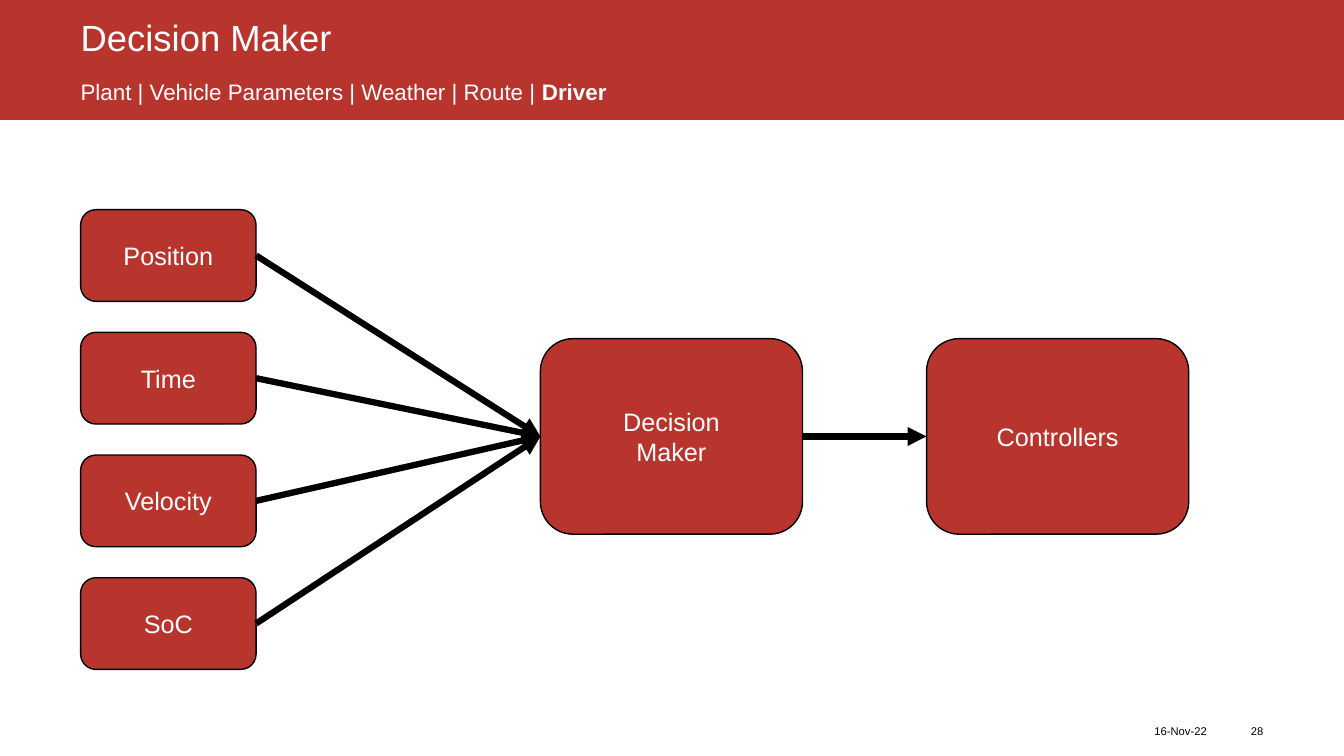
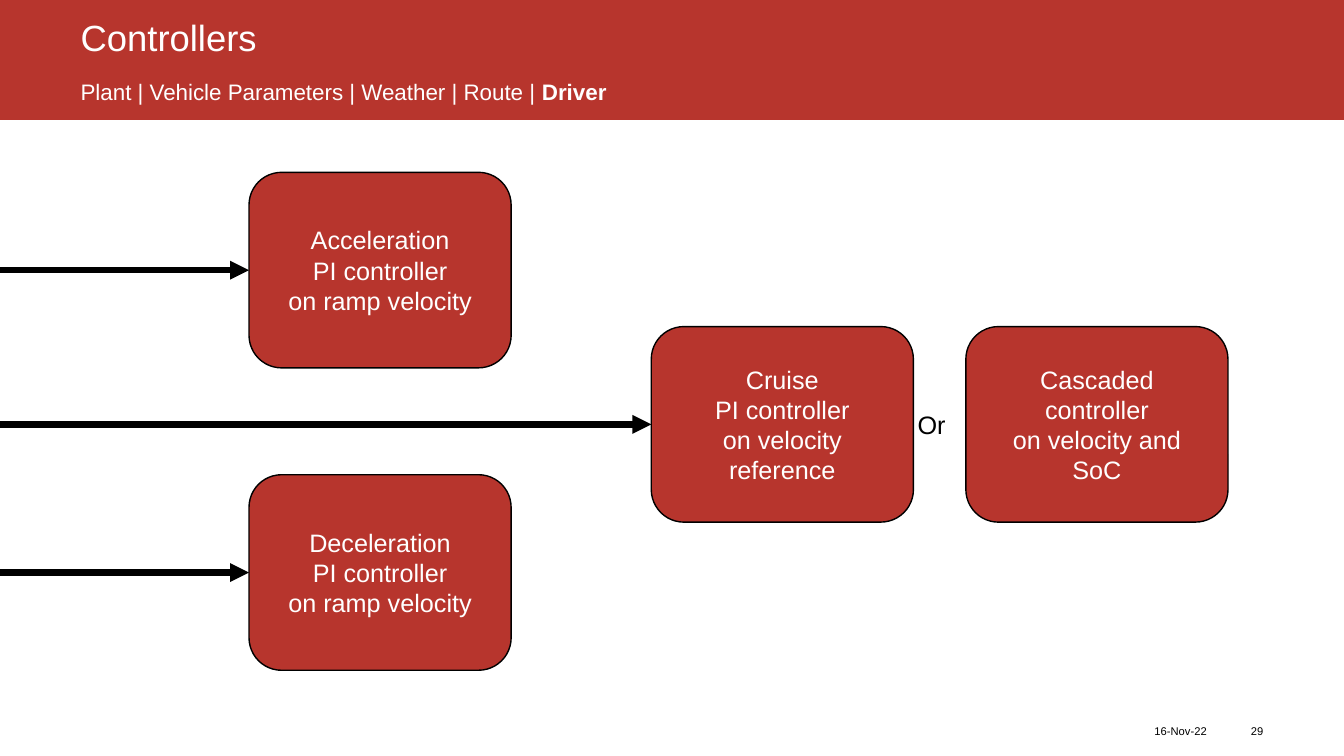
from dataclasses import dataclass

from lxml import etree
from pptx import Presentation
from pptx.dml.color import RGBColor
from pptx.enum.shapes import MSO_CONNECTOR, MSO_SHAPE
from pptx.enum.text import MSO_ANCHOR, MSO_AUTO_SIZE, PP_ALIGN
from pptx.oxml.ns import qn
from pptx.util import Inches, Pt

RED = RGBColor(0xB7, 0x35, 0x2D)
WHITE = RGBColor(0xFF, 0xFF, 0xFF)
BLACK = RGBColor(0x00, 0x00, 0x00)
FONT = "Arial"

LEFT, CENTER, RIGHT = PP_ALIGN.LEFT, PP_ALIGN.CENTER, PP_ALIGN.RIGHT
MIDDLE = MSO_ANCHOR.MIDDLE
NO_AUTOFIT = MSO_AUTO_SIZE.NONE
RECTANGLE, ROUNDED = MSO_SHAPE.RECTANGLE, MSO_SHAPE.ROUNDED_RECTANGLE
STRAIGHT = MSO_CONNECTOR.STRAIGHT
LEFT_SITE, RIGHT_SITE = 1, 3

SLIDE_WIDTH, SLIDE_HEIGHT = 13.33, 7.5
MARGIN = 0.8
DATE = "16-Nov-22"
TITLE_ONLY, TITLE_AND_BODY = 5, 1


@dataclass(frozen=True)
class Area:
    left: float
    top: float
    width: float
    height: float

    def lengths(self):
        return [Inches(v) for v in (self.left, self.top, self.width, self.height)]


@dataclass(frozen=True)
class Block:
    """A labelled box; a vertical tab in the label breaks a line."""
    label: str
    left: float
    top: float
    width: float = 2.6
    height: float = 1.94

    @property
    def area(self):
        return Area(self.left, self.top, self.width, self.height)

    @property
    def middle(self):
        return self.top + self.height / 2


INPUT_LABELS = ("Position", "Time", "Velocity", "SoC")
INPUT_TOP, INPUT_PITCH = 2.08, 1.217
INPUTS = [Block(label, MARGIN, INPUT_TOP + i * INPUT_PITCH, 1.74, 0.91)
          for i, label in enumerate(INPUT_LABELS)]
DECISION_MAKER = Block("Decision\nMaker", 5.36, 3.36)
CONTROLLERS = Block("Controllers", 9.19, 3.36)

DRIVEN_CONTROLLERS = [
    Block("Acceleration\nPI controller\von ramp velocity", 2.47, 1.71),
    Block("Deceleration\nPI controller\von ramp velocity", 2.47, 4.71),
    Block("Cruise\nPI controller\von velocity reference", 6.46, 3.24),
]
CASCADED = Block("Cascaded controller\von velocity and SoC", 9.58, 3.24)
ARROW_START = -0.23


def put_text(shape, text: str, *, size: float, color: RGBColor, bold_end: str = "",
             align=LEFT, line_spacing: float = 1.0, space_before: float = 0,
             inset: float = 0) -> None:
    """Fill a shape with formatted text, ending in the bold words of bold_end."""
    frame = shape.text_frame
    frame.word_wrap = True
    frame.auto_size = NO_AUTOFIT
    frame.vertical_anchor = MIDDLE
    frame.margin_left = frame.margin_right = Inches(inset)
    frame.margin_top = frame.margin_bottom = Inches(inset / 2)
    frame.text = text
    if bold_end:
        ending = frame.paragraphs[-1].add_run()
        ending.text = bold_end
        ending.font.bold = True
    for paragraph in frame.paragraphs:
        paragraph.alignment = align
        paragraph.line_spacing = line_spacing
        paragraph.space_before = Pt(space_before)
        for run in paragraph.runs:
            run.font.name = FONT
            run.font.size = Pt(size)
            run.font.color.rgb = color


def place(shape, area: Area) -> None:
    shape.left, shape.top, shape.width, shape.height = area.lengths()


def add_label(slide, area: Area, text: str, **text_format):
    label = slide.shapes.add_textbox(*area.lengths())
    put_text(label, text, **text_format)
    return label


def add_red_shape(slide, preset, area: Area):
    shape = slide.shapes.add_shape(preset, *area.lengths())
    shape.shadow.inherit = False
    shape.fill.solid()
    shape.fill.fore_color.rgb = RED
    shape.line.fill.background()
    return shape


def add_block(slide, block: Block):
    shape = add_red_shape(slide, ROUNDED, block.area)
    shape.line.color.rgb = BLACK
    shape.line.width = Pt(1)
    put_text(shape, block.label, size=18, color=WHITE, align=CENTER, inset=0.1)
    return shape


def add_arrow(slide, target, *, source=None, start: tuple[float, float] = (0, 0)) -> None:
    """Point at the left side of target, from the right side of source or from start."""
    x, y = (Inches(v) for v in start)
    arrow = slide.shapes.add_connector(STRAIGHT, x, y, x, y)
    if source is not None:
        arrow.begin_connect(source, RIGHT_SITE)
    arrow.end_connect(target, LEFT_SITE)
    arrow.line.color.rgb = BLACK
    arrow.line.width = Pt(4.5)
    properties = arrow.element.spPr
    etree.SubElement(properties.find(qn("a:ln")), qn("a:tailEnd"), type="triangle")
    etree.SubElement(properties, qn("a:effectLst"))


def remove_bullet(paragraph) -> None:
    properties = paragraph._p.get_or_add_pPr()
    properties.set("marL", "0")
    properties.set("indent", "0")
    etree.SubElement(properties, qn("a:buNone"))


def build_master_header(prs, slide) -> None:
    """Draw the band and topic trail on a slide, then move them to the master."""
    band = add_red_shape(slide, RECTANGLE, Area(0, 0, SLIDE_WIDTH, 1.19))
    trail = add_label(slide, Area(MARGIN, 0.67, 11.97, 0.52),
                      "Plant | Vehicle Parameters | Weather | Route | ",
                      bold_end="Driver", size=16, color=WHITE, line_spacing=0.9)
    master_tree = prs.slide_master.shapes.element
    for offset, shape in enumerate((band, trail)):
        shape.element.nvSpPr.cNvPr.set("id", str(100 + offset))
        master_tree.insert(2 + offset, shape.element)


def add_titled_slide(prs, layout: int, title: str, number: int):
    slide = prs.slides.add_slide(prs.slide_layouts[layout])
    place(slide.shapes.title, Area(MARGIN, 0.13, 11.73, 0.52))
    put_text(slide.shapes.title, title, size=26, color=WHITE, line_spacing=0.9)
    add_label(slide, Area(12.18, 7.13, 0.35, 0.24), str(number),
              size=8, color=BLACK, align=RIGHT)
    add_label(slide, Area(11.45, 7.13, 0.67, 0.24), DATE, size=8, color=BLACK)
    return slide


def build_decision_maker(prs):
    slide = add_titled_slide(prs, TITLE_ONLY, "Decision Maker", 28)
    decision_maker = add_block(slide, DECISION_MAKER)
    controllers = add_block(slide, CONTROLLERS)
    add_arrow(slide, controllers, source=decision_maker)
    for block in INPUTS:
        add_arrow(slide, decision_maker, source=add_block(slide, block))
    return slide


def build_controllers(prs) -> None:
    slide = add_titled_slide(prs, TITLE_AND_BODY, "Controllers", 29)
    for block in DRIVEN_CONTROLLERS:
        add_arrow(slide, add_block(slide, block), start=(ARROW_START, block.middle))
    add_block(slide, CASCADED)
    alternative = slide.placeholders[1]
    place(alternative, Area(9.1, 4.02, 0.44, 0.38))
    put_text(alternative, "Or", size=18, color=BLACK, space_before=10)
    remove_bullet(alternative.text_frame.paragraphs[0])


def main() -> None:
    prs = Presentation()
    prs.slide_width, prs.slide_height = Inches(SLIDE_WIDTH), Inches(SLIDE_HEIGHT)
    first_slide = build_decision_maker(prs)
    build_master_header(prs, first_slide)
    build_controllers(prs)
    prs.save("out.pptx")


if __name__ == "__main__":
    main()
